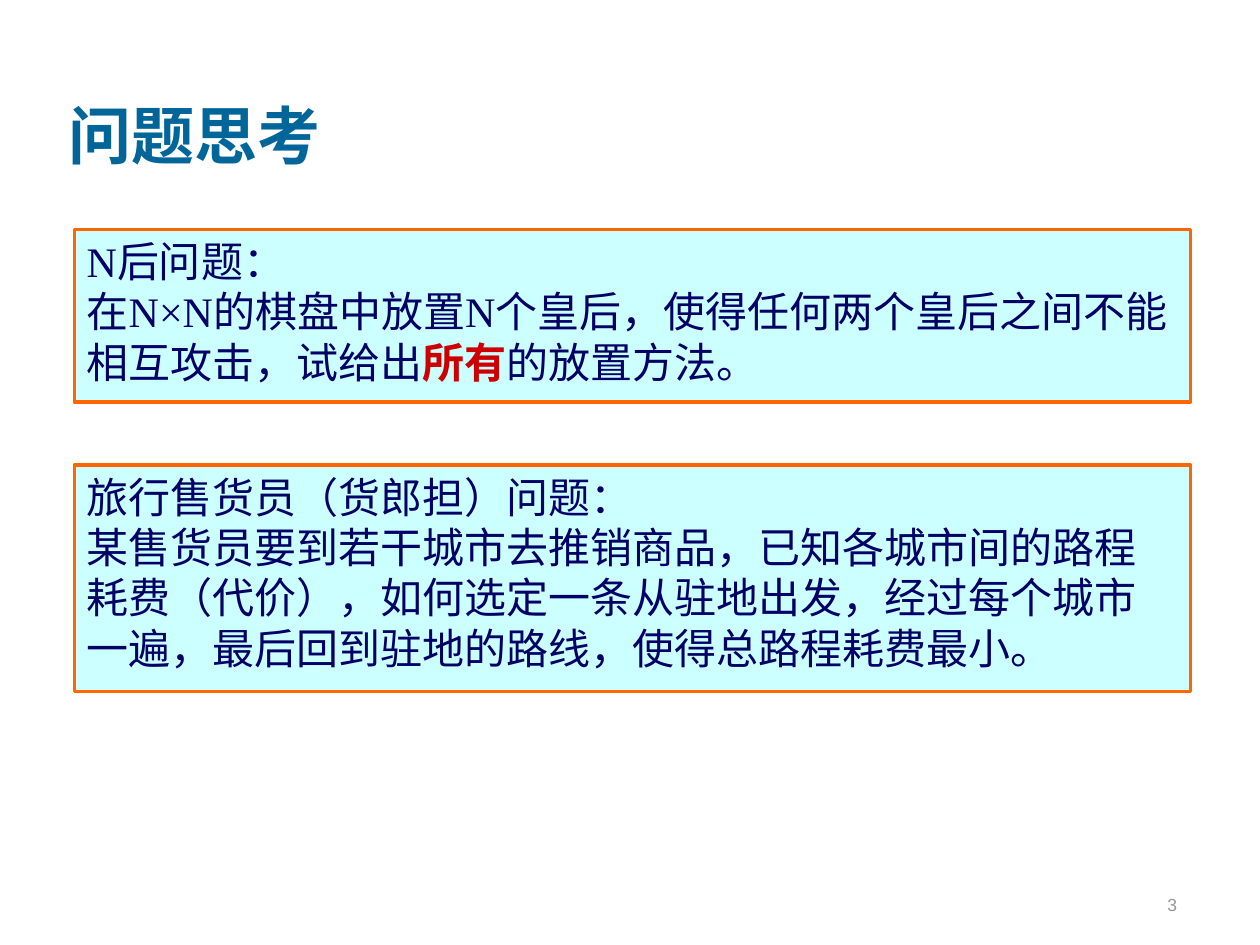
"""Build the slide that poses the N queens and travelling salesman problems."""
from dataclasses import dataclass

import pptx
import pptx.dml.color
import pptx.enum.shapes
import pptx.enum.text
import pptx.slide
import pptx.text.text
import pptx.util


@dataclass(frozen=True)
class Theme:
    heading: str = "006699"
    body: str = "000066"
    emphasis: str = "CC0000"
    panel: str = "CCFFFF"
    border: str = "FF6600"
    muted: str = "969696"
    heading_font: str = "Vollkorn"
    body_font: str = "Times New Roman"
    number_font: str = "Arial"
    heading_size: float = 36
    body_size: float = 24
    number_size: float = 10
    border_width: float = 2


@dataclass(frozen=True)
class Phrase:
    text: str
    emphasized: bool = False


@dataclass(frozen=True)
class Problem:
    top: float
    height: float
    name: str
    statement: tuple[Phrase, ...]


THEME = Theme()
WIDTH = pptx.util.Inches(10)
HEIGHT = pptx.util.Inches(7.5)
PANEL_LEFT = 0.059
PANEL_WIDTH = 0.886

PROBLEMS = (
    Problem(1.82 / 7.5, 1.37 / 7.5, "N后问题：", (
        Phrase("在N×N的棋盘中放置N个皇后，使得任何两个皇后之间不能相互攻击，试给出"),
        Phrase("所有", emphasized=True),
        Phrase("的放置方法。"),
    )),
    Problem(3.69 / 7.5, 1.8 / 7.5, "旅行售货员（货郎担）问题：", (
        Phrase("某售货员要到若干城市去推销商品，已知各城市间的路程耗费（代价），"
               "如何选定一条从驻地出发，经过每个城市一遍，最后回到驻地的路线，"
               "使得总路程耗费最小。"),
    )),
)


def color(value: str) -> pptx.dml.color.RGBColor:
    return pptx.dml.color.RGBColor.from_string(value)


def area(left: float, top: float, width: float, height: float) -> tuple[int, ...]:
    return (round(left * WIDTH), round(top * HEIGHT),
            round(width * WIDTH), round(height * HEIGHT))


def style(font: pptx.text.text.Font, name: str, size: float, ink: str,
          bold: bool = False) -> None:
    font.name = name
    font.size = pptx.util.Pt(size)
    font.bold = bold
    font.color.rgb = color(ink)


def draw_title(slide: pptx.slide.Slide, text: str) -> None:
    title = slide.shapes.title
    title.left, title.top, title.width, title.height = area(
        0.044, 0.17 / 7.5, 0.85, 1.25 / 7.5)
    title.text_frame.text = text
    title.text_frame.vertical_anchor = pptx.enum.text.MSO_ANCHOR.BOTTOM
    heading = title.text_frame.paragraphs[0]
    heading.alignment = pptx.enum.text.PP_ALIGN.LEFT
    style(heading.font, THEME.heading_font, THEME.heading_size, THEME.heading, True)


def draw_problem(slide: pptx.slide.Slide, problem: Problem) -> None:
    panel = slide.shapes.add_shape(
        pptx.enum.shapes.MSO_SHAPE.RECTANGLE,
        *area(PANEL_LEFT, problem.top, PANEL_WIDTH, problem.height))
    panel.shadow.inherit = False
    panel.fill.solid()
    panel.fill.fore_color.rgb = color(THEME.panel)
    panel.line.color.rgb = color(THEME.border)
    panel.line.width = pptx.util.Pt(THEME.border_width)
    frame = panel.text_frame
    frame.word_wrap = True
    frame.vertical_anchor = pptx.enum.text.MSO_ANCHOR.TOP
    frame.text = problem.name
    statement = frame.add_paragraph()
    for phrase in problem.statement:
        run = statement.add_run()
        run.text = phrase.text
        if phrase.emphasized:
            run.font.bold = True
            run.font.color.rgb = color(THEME.emphasis)
    for paragraph in frame.paragraphs:
        paragraph.alignment = pptx.enum.text.PP_ALIGN.LEFT
        style(paragraph.font, THEME.body_font, THEME.body_size, THEME.body)


def draw_page_number(slide: pptx.slide.Slide, number: int) -> None:
    frame = slide.shapes.add_textbox(
        *area(0.736, 6.81 / 7.5, 0.208, 0.5 / 7.5)).text_frame
    frame.word_wrap = True
    frame.vertical_anchor = pptx.enum.text.MSO_ANCHOR.BOTTOM
    frame.text = str(number)
    label = frame.paragraphs[0]
    label.alignment = pptx.enum.text.PP_ALIGN.RIGHT
    style(label.font, THEME.number_font, THEME.number_size, THEME.muted)


def main() -> None:
    deck = pptx.Presentation()
    deck.slide_width, deck.slide_height = WIDTH, HEIGHT
    slide = deck.slides.add_slide(deck.slide_layouts.get_by_name("Title Only"))
    draw_title(slide, "问题思考")
    draw_page_number(slide, 3)
    for problem in PROBLEMS:
        draw_problem(slide, problem)
    deck.save("out.pptx")


if __name__ == "__main__":
    main()
